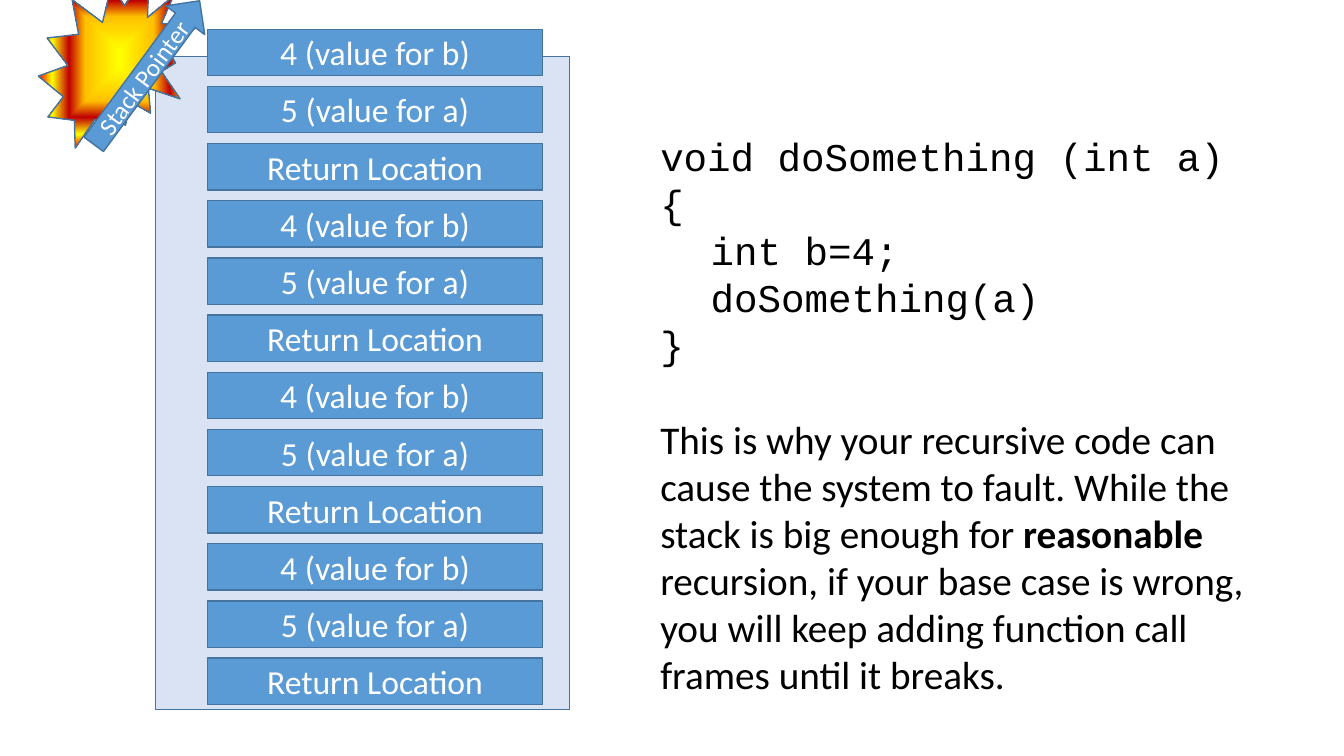
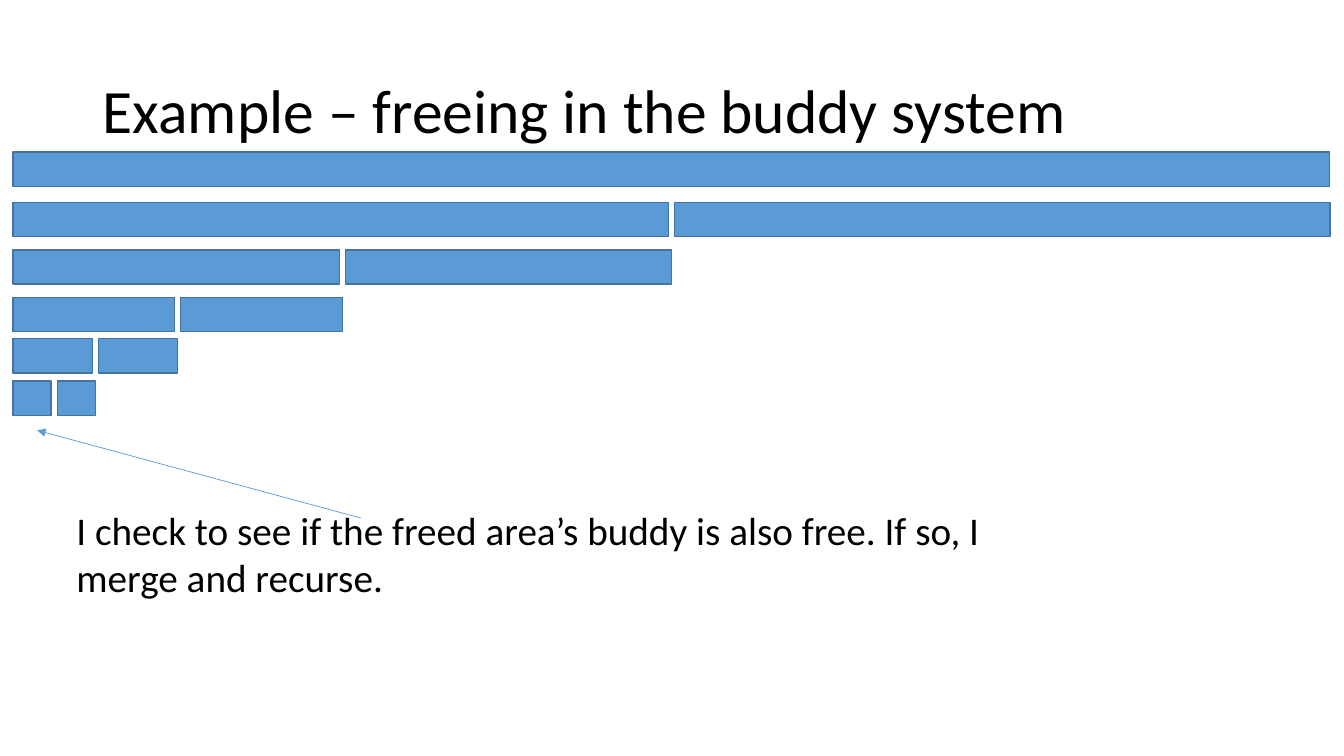
from dataclasses import dataclass

from lxml.etree import SubElement
from pptx import Presentation
from pptx.dml.color import RGBColor
from pptx.enum.shapes import MSO_CONNECTOR, MSO_SHAPE
from pptx.enum.text import MSO_ANCHOR, PP_ALIGN
from pptx.oxml.ns import qn
from pptx.util import Inches, Pt


@dataclass(frozen=True)
class Theme:
    block: str = "5B9BD5"
    outline: str = "43739E"
    stack: str = "DAE3F3"
    ink: str = "000000"
    light: str = "FFFFFF"
    burst: tuple = ((0, "FFFF00"), (42, "FFC000"), (62, "C00000"),
                    (83, "FFFF00"), (100, "FF0000"))
    font: str = "Calibri"
    code_font: str = "Courier New"
    title_size: int = 44
    body_size: int = 28
    frame_size: int = 24
    pointer_size: int = 18


THEME = Theme()


# Shared elements
def add_run(paragraph, text, size, color=THEME.ink, font=THEME.font, bold=False):
    run = paragraph.add_run()
    run.text = text
    run.font.name = font
    run.font.size = Pt(size)
    run.font.bold = bold
    run.font.color.rgb = RGBColor.from_string(color)


def add_block(slide, left, top, width, height, fill=THEME.block,
              kind=MSO_SHAPE.RECTANGLE, label="", size=THEME.frame_size):
    block = slide.shapes.add_shape(
        kind, Inches(left), Inches(top), Inches(width), Inches(height))
    block.shadow.inherit = False
    block.fill.solid()
    block.fill.fore_color.rgb = RGBColor.from_string(fill)
    block.line.color.rgb = RGBColor.from_string(THEME.outline)
    block.line.width = Pt(1)
    if label:
        block.text_frame.vertical_anchor = MSO_ANCHOR.MIDDLE
        paragraph = block.text_frame.paragraphs[0]
        paragraph.alignment = PP_ALIGN.CENTER
        add_run(paragraph, label, size, THEME.light)
    return block


def add_text_frame(slide, left, top, width, height, anchor=MSO_ANCHOR.TOP):
    frame = slide.shapes.add_textbox(
        Inches(left), Inches(top), Inches(width), Inches(height)).text_frame
    frame.word_wrap = True
    frame.vertical_anchor = anchor
    return frame


def add_title(slide, text):
    frame = add_text_frame(slide, 0.92, 0.4, 11.5, 1.45, MSO_ANCHOR.MIDDLE)
    frame.paragraphs[0].line_spacing = 0.9
    add_run(frame.paragraphs[0], text, THEME.title_size)


def add_arrow(slide, start, end):
    arrow = slide.shapes.add_connector(
        MSO_CONNECTOR.STRAIGHT, *(Inches(value) for value in start + end))
    arrow.line.color.rgb = RGBColor.from_string(THEME.block)
    arrow.line.width = Pt(0.5)
    SubElement(arrow.line._get_or_add_ln(), qn("a:tailEnd"), type="triangle")
    SubElement(arrow._element.spPr, qn("a:effectLst"))


def fill_from_centre(shape, stops):
    shape.fill.gradient()
    gradient = shape._element.spPr.find(qn("a:gradFill"))
    gradient.clear()
    stop_list = SubElement(gradient, qn("a:gsLst"))
    for percent, color in stops:
        stop = SubElement(stop_list, qn("a:gs"), pos=str(percent * 1000))
        SubElement(stop, qn("a:srgbClr"), val=color)
    spread = SubElement(gradient, qn("a:path"), path="shape")
    SubElement(spread, qn("a:fillToRect"),
               {side: "50000" for side in "ltrb"})


# Slide 1: recursion overflows the stack
def add_recursion_text(slide):
    frame = add_text_frame(slide, 6.45, 1.26, 5.99, 5.28)
    code = ("void doSomething (int a) {", "\tint b=4;", "\tdoSomething(a)", "}")
    for number, line in enumerate(code):
        paragraph = frame.add_paragraph() if number else frame.paragraphs[0]
        add_run(paragraph, line, THEME.body_size, font=THEME.code_font)

    explanation = frame.add_paragraph()
    explanation.space_before = Pt(34)
    add_run(explanation, "This is why your recursive code can cause the system "
            "to fault. While the stack is big enough for ", THEME.body_size)
    add_run(explanation, "reasonable", THEME.body_size, bold=True)
    add_run(explanation, " recursion, if your base case is wrong, you will keep "
            "adding function call frames until it breaks.", THEME.body_size)


def build_stack_slide(slide):
    add_block(slide, 1.54, 0.56, 4.11, 6.48, fill=THEME.stack)
    add_recursion_text(slide)

    # Four call frames, growing upwards
    call_frame = ("Return Location", "5 (value for a)", "4 (value for b)")
    bottom, top = 6.53, 0.29
    entries = call_frame * 4
    pitch = (bottom - top) / (len(entries) - 1)
    for level, entry in enumerate(entries):
        add_block(slide, 2.06, bottom - level * pitch, 3.32, 0.46, label=entry)

    # Stack pointer breaking out at the top
    burst = add_block(slide, 0.38, -0.3, 1.61, 1.77, kind=MSO_SHAPE.EXPLOSION2)
    fill_from_centre(burst, THEME.burst)
    pointer = add_block(slide, 0.57, 0.48, 1.77, 0.48, kind=MSO_SHAPE.RIGHT_ARROW,
                        label="Stack Pointer", size=THEME.pointer_size)
    pointer.rotation = 306.4


# Slide 2: memory halved level by level
def build_buddy_slide(slide):
    add_title(slide, "Example – freeing in the buddy system")

    left, memory, height, half_gap = 0.13, 13.06, 0.34, 0.03
    add_block(slide, left, 1.51, memory, height)
    for level, top in enumerate((2.01, 2.48, 2.95, 3.36, 3.78), start=1):
        share = memory / 2 ** level
        for buddy_left in (left, left + share + half_gap):
            add_block(slide, buddy_left, top, share - half_gap, height)

    add_arrow(slide, (3.58, 5.14), (0.37, 4.27))
    remark = add_text_frame(slide, 0.66, 4.97, 9.67, 1.04)
    add_run(remark.paragraphs[0], "I check to see if the freed area’s buddy is "
            "also free. If so, I merge and recurse.", THEME.body_size)


def main():
    deck = Presentation()
    deck.slide_width, deck.slide_height = Inches(13.33), Inches(7.5)
    blank = deck.slide_layouts[6]
    for build in (build_stack_slide, build_buddy_slide):
        build(deck.slides.add_slide(blank))
    deck.save("out.pptx")


main()
